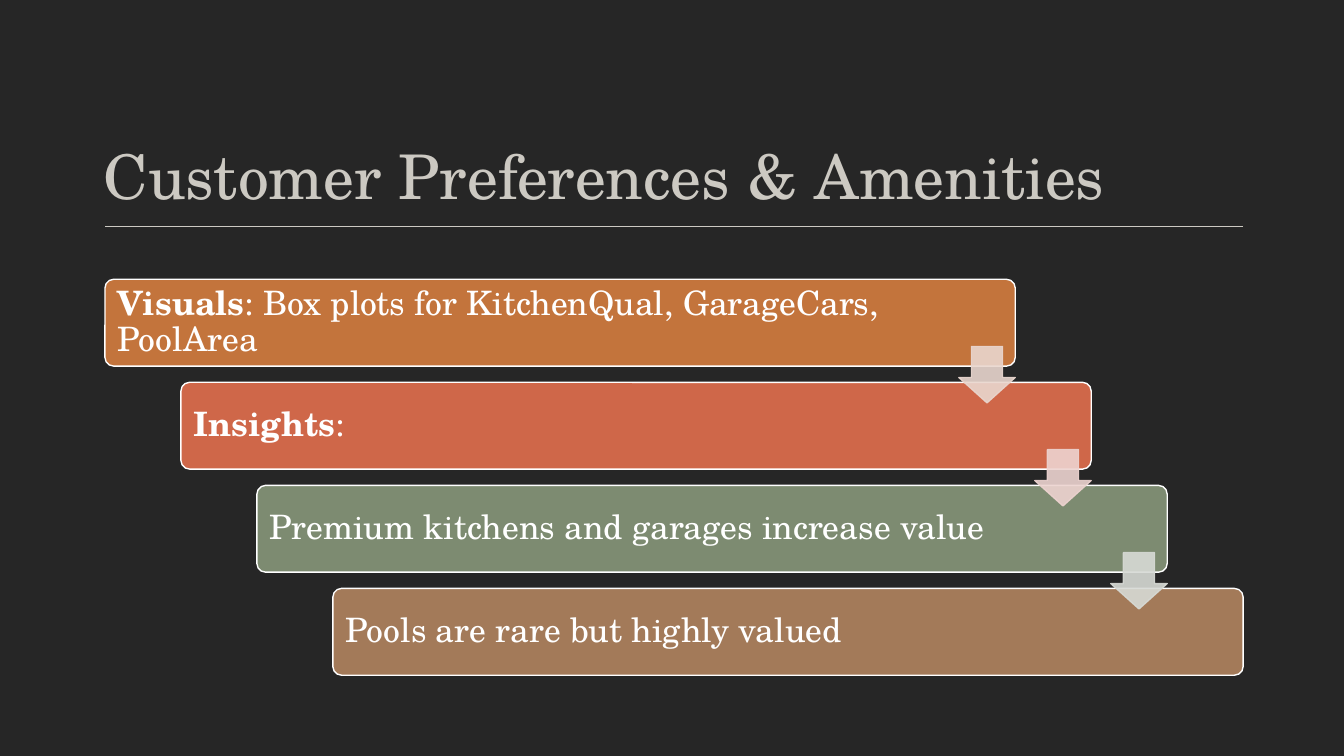
from lxml import etree
from pptx import Presentation
from pptx.dml.color import RGBColor
from pptx.enum.shapes import MSO_CONNECTOR, MSO_SHAPE
from pptx.enum.text import MSO_ANCHOR, PP_ALIGN
from pptx.oxml.ns import qn
from pptx.util import Pt

ROUNDED, DOWN_ARROW = MSO_SHAPE.ROUNDED_RECTANGLE, MSO_SHAPE.DOWN_ARROW
STRAIGHT = MSO_CONNECTOR.STRAIGHT
LEFT = PP_ALIGN.LEFT
MIDDLE, BOTTOM = MSO_ANCHOR.MIDDLE, MSO_ANCHOR.BOTTOM

# Content: each step is (bold lead, rest, bar colour)
TITLE = "Customer Preferences & Amenities"
STEPS = [
    ("Visuals", ": Box plots for KitchenQual, GarageCars, PoolArea",
     RGBColor(0xC3, 0x74, 0x3C)),
    ("Insights", ":", RGBColor(0xCF, 0x67, 0x49)),
    ("", "Premium kitchens and garages increase value",
     RGBColor(0x7D, 0x8B, 0x71)),
    ("", "Pools are rare but highly valued", RGBColor(0xA3, 0x7A, 0x59)),
]
ARROW_COLORS = [RGBColor(0xE9, 0xD6, 0xCE), RGBColor(0xED, 0xD3, 0xD0),
                RGBColor(0xD7, 0xDA, 0xD5)]

FONT = "TeX Gyre Schola"
BACKGROUND = RGBColor(0x26, 0x26, 0x26)
TITLE_COLOR = RGBColor(0xCC, 0xC9, 0xC2)
WHITE = RGBColor(0xFF, 0xFF, 0xFF)

# Layout in points
SLIDE_W, SLIDE_H = 960, 540
STAIR_LEFT, STAIR_RIGHT, STAIR_TOP = 75, 888, 199.5
BAR_W, BAR_H, BAR_PITCH = 650.2, 62, 73.6
BAR_SHIFT = (STAIR_RIGHT - STAIR_LEFT - BAR_W) / (len(STEPS) - 1)
ARROW_SIZE, ARROW_DROP = 40.3, 48
ARROW_OPACITY = 90
RULE_Y = 162


def write(shape, *runs, size, color, anchor, margins, spacing=1.0):
    """Fill a shape with one paragraph of (text, bold) runs."""
    frame = shape.text_frame
    frame.word_wrap = True
    frame.vertical_anchor = anchor
    (frame.margin_left, frame.margin_top,
     frame.margin_right, frame.margin_bottom) = map(Pt, margins)
    paragraph = frame.paragraphs[0]
    paragraph.alignment = LEFT
    paragraph.line_spacing = spacing
    for text, bold in runs:
        if text:
            run = paragraph.add_run()
            run.text = text
            run.font.name, run.font.size = FONT, Pt(size)
            run.font.bold = bold
            run.font.color.rgb = color


def add_block(slide, kind, left, top, width, height, adjustments, fill, line):
    block = slide.shapes.add_shape(kind, Pt(left), Pt(top), Pt(width), Pt(height))
    block.shadow.inherit = False
    for index, value in enumerate(adjustments):
        block.adjustments[index] = value
    block.fill.solid()
    block.fill.fore_color.rgb = fill
    block.line.color.rgb = line
    block.line.width = Pt(1)
    return block


def set_opacity(block, percent):
    for color in block._element.spPr.iter(qn("a:srgbClr")):
        etree.SubElement(color, qn("a:alpha")).set("val", str(percent * 1000))


def main():
    deck = Presentation()
    deck.slide_width, deck.slide_height = Pt(SLIDE_W), Pt(SLIDE_H)
    slide = deck.slides.add_slide(deck.slide_layouts[6])
    slide.background.fill.solid()
    slide.background.fill.fore_color.rgb = BACKGROUND

    # Title and rule
    title = slide.shapes.add_textbox(Pt(67), Pt(69), Pt(821), Pt(86))
    write(title, (TITLE, False), size=44, color=TITLE_COLOR, anchor=BOTTOM,
          margins=(7.2, 3.6, 7.2, 3.6))
    rule = slide.shapes.add_connector(
        STRAIGHT, Pt(STAIR_RIGHT), Pt(RULE_Y), Pt(STAIR_LEFT), Pt(RULE_Y))
    rule.line.color.rgb = TITLE_COLOR
    rule.line.width = Pt(0.85)
    etree.SubElement(rule._element.spPr, qn("a:effectLst"))

    # Staircase of bars
    corners = [(STAIR_LEFT + i * BAR_SHIFT, STAIR_TOP + i * BAR_PITCH)
               for i in range(len(STEPS))]
    for (left, top), (lead, rest, color) in zip(corners, STEPS):
        bar = add_block(slide, ROUNDED, left, top, BAR_W, BAR_H, [0.1], color, WHITE)
        write(bar, (lead, True), (rest, False), size=24, color=WHITE,
              anchor=MIDDLE, margins=(7.2, 0, 78, 0), spacing=0.9)

    # Arrows from each bar to the next
    for (left, top), color in zip(corners, ARROW_COLORS):
        arrow = add_block(slide, DOWN_ARROW, left + BAR_W - ARROW_SIZE,
                          top + ARROW_DROP, ARROW_SIZE, ARROW_SIZE,
                          [0.55, 0.45], color, color)
        set_opacity(arrow, ARROW_OPACITY)

    deck.save("out.pptx")


if __name__ == "__main__":
    main()
